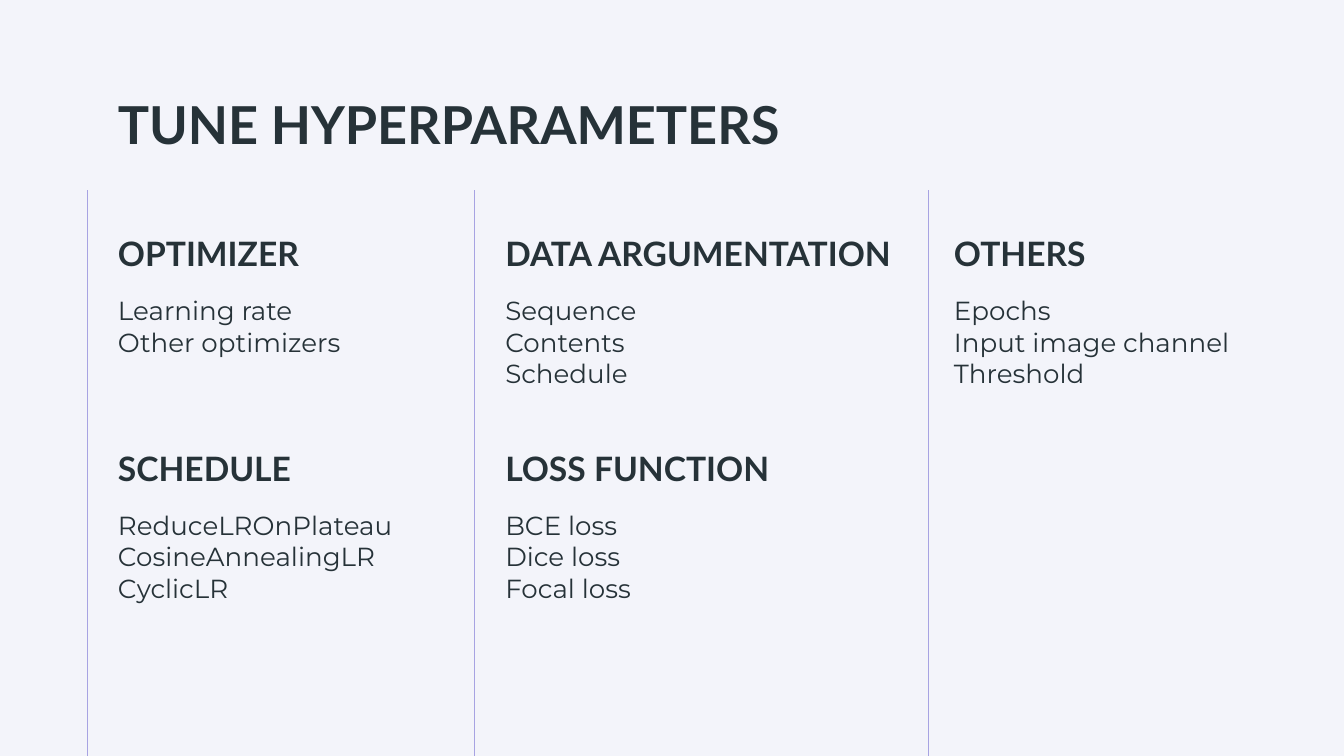
import pptx
import pptx.dml.color
import pptx.enum.shapes
import pptx.enum.text
import pptx.oxml.ns
import pptx.util
from lxml import etree

Cm = pptx.util.Cm
ANCHOR = pptx.enum.text.MSO_ANCHOR
COLORS = {"background": "F3F4FA", "text": "263238", "divider": "A7A3E2"}


def color(name):
    return pptx.dml.color.RGBColor.from_string(COLORS[name])


def add_text(left, top, width, height, lines, font_name, size,
             bold=False, anchor=ANCHOR.TOP, inset=0.25):
    shape = slide.shapes.add_textbox(Cm(left), Cm(top), Cm(width), Cm(height))
    frame = shape.text_frame
    frame.word_wrap = True
    frame.vertical_anchor = anchor
    frame.margin_left = frame.margin_right = Cm(0.25)
    frame.margin_top = frame.margin_bottom = Cm(inset)
    frame.text = "\n".join(lines)
    for paragraph in frame.paragraphs:
        paragraph.font.name = font_name
        paragraph.font.size = pptx.util.Pt(size)
        paragraph.font.bold = bold
        paragraph.font.color.rgb = color("text")


presentation = pptx.Presentation()
presentation.slide_width = Cm(25.4)
presentation.slide_height = Cm(14.29)
slide = presentation.slides.add_slide(presentation.slide_layouts[6])
slide.background.fill.solid()
slide.background.fill.fore_color.rgb = color("background")

# Title
add_text(1.98, 1.5, 21.44, 1.32, ["TUNE HYPERPARAMETERS"], "Lato", 28, bold=True)

# Topics: column, row, heading, heading width, list width, items
column_lefts = [1.98, 9.3, 17.78]
row_tops = [4.09, 8.15]
topics = [
    (0, 0, "OPTIMIZER", 5, 5, ["Learning rate", "Other optimizers"]),
    (1, 0, "DATA ARGUMENTATION", 8.84, 5, ["Sequence", "Contents", "Schedule"]),
    (2, 0, "OTHERS", 5, 5.92, ["Epochs", "Input image channel", "Threshold"]),
    (0, 1, "SCHEDULE", 5, 6.65,
     ["ReduceLROnPlateau", "CosineAnnealingLR", "CyclicLR"]),
    (1, 1, "LOSS FUNCTION", 6.43, 5, ["BCE loss", "Dice loss", "Focal loss"]),
]
for column, row, heading, heading_width, list_width, items in topics:
    left, top = column_lefts[column], row_tops[row]
    add_text(left, top, heading_width, 1.32, [heading], "Lato", 18,
             bold=True, anchor=ANCHOR.BOTTOM)
    add_text(left, top + 1.3, list_width, 2.21, items, "Montserrat", 14, inset=0.18)

# Column dividers, running up from the slide's bottom edge
for x in [1.65, 8.97, 17.55]:
    divider = slide.shapes.add_connector(
        pptx.enum.shapes.MSO_CONNECTOR.STRAIGHT, Cm(x), Cm(14.29), Cm(x), Cm(3.6))
    divider.line.color.rgb = color("divider")
    divider.line.width = pptx.util.Pt(0.75)
    etree.SubElement(divider._element.spPr, pptx.oxml.ns.qn("a:effectLst"))

presentation.save("out.pptx")
